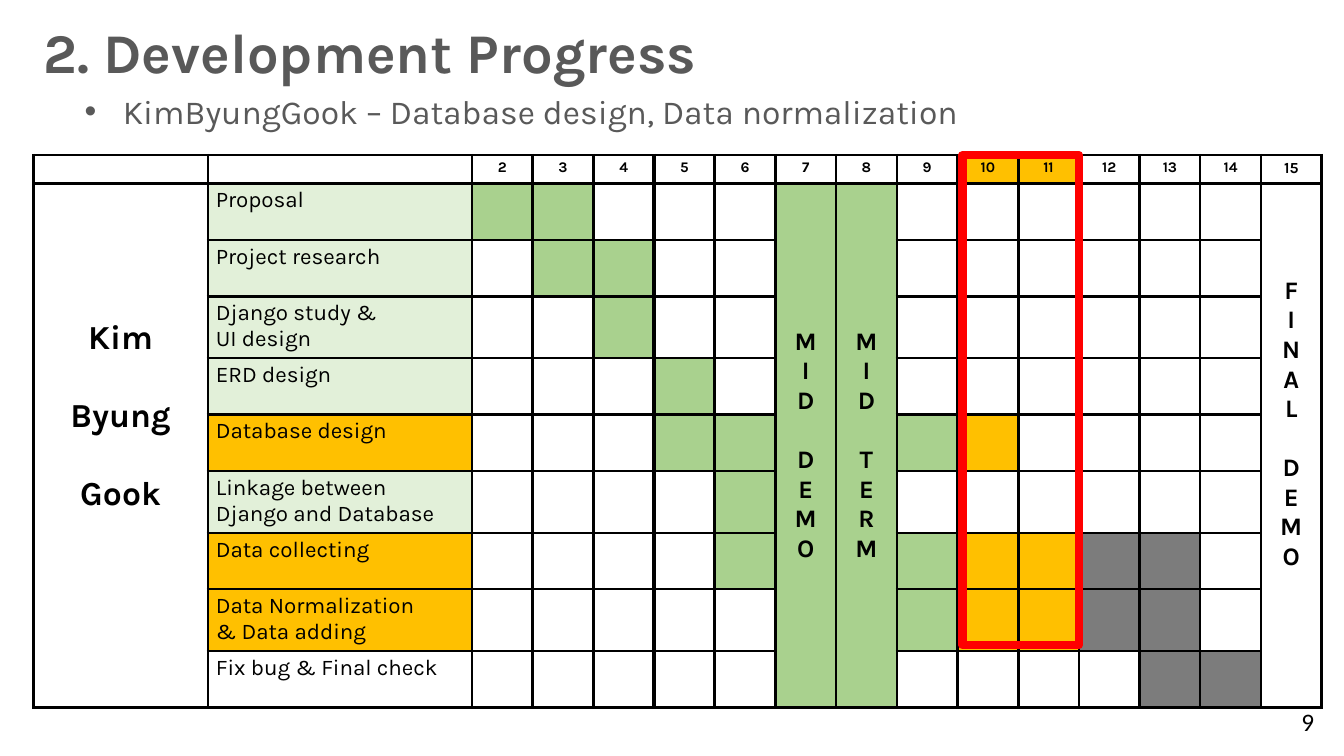
from dataclasses import dataclass
from itertools import accumulate

from lxml.etree import SubElement
from pptx import Presentation
from pptx.dml.color import RGBColor
from pptx.enum.shapes import MSO_SHAPE
from pptx.enum.text import MSO_ANCHOR, MSO_AUTO_SIZE, PP_ALIGN
from pptx.oxml.ns import qn
from pptx.util import Inches, Pt

COLORS = {
    "text": "595959", "black": "000000", "white": "FFFFFF", "finished": "E2F0D9",
    "done": "A9D18E", "now": "FFC000", "todo": "7C7C7C", "frame": "FF0000",
}
WIDTH, HEIGHT = 13.33, 7.5
FONT = "Karla"
THIN, THICK = 1.98, 2.55


@dataclass(frozen=True)
class Box:
    """Place and size in percent of the slide."""
    left: float
    top: float
    width: float
    height: float

    def emu(self) -> tuple:
        return (Inches(self.left * WIDTH / 100), Inches(self.top * HEIGHT / 100),
                Inches(self.width * WIDTH / 100), Inches(self.height * HEIGHT / 100))


@dataclass(frozen=True)
class Task:
    label: str
    lines: int = 1
    done: tuple = ()
    now: tuple = ()
    todo: tuple = ()

    def label_fill(self) -> str:
        return "now" if self.now else "finished" if self.done else "white"

    def week_fill(self, week: int) -> str:
        return next((k for k in ("done", "now", "todo") if week in getattr(self, k)), "white")


@dataclass(frozen=True)
class Milestone:
    week: int
    text: str
    fill: str
    top: float = 0.04
    anchor: MSO_ANCHOR = MSO_ANCHOR.MIDDLE


TASKS = [
    Task("Proposal", done=(2, 3)),
    Task("Project research", done=(3, 4)),
    Task("Django study &\nUI design", 2, done=(4,)),
    Task("ERD design", done=(5,)),
    Task("Database design", done=(5, 6, 9), now=(10,)),
    Task("Linkage between Django and Database", 2, done=(6,)),
    Task("Data collecting", done=(6, 9), now=(10, 11), todo=(12, 13)),
    Task("Data Normalization\n& Data adding", 2, done=(9,), now=(10, 11), todo=(12, 13)),
    Task("Fix bug & Final check", todo=(13, 14)),
]
MILESTONES = [
    Milestone(7, "MID DEMO", "done"),
    Milestone(8, "MID TERM", "done"),
    Milestone(15, "FINAL DEMO", "white", 0.92, MSO_ANCHOR.TOP),
]
WEEKS = range(2, 16)
FIRST_WEEK_COL = 2
CURRENT_WEEKS = (10, 11)
THICK_AFTER = (4, 10)

TABLE = Box(2.48, 20.53, 95.87, 73.2)
NAME_W, LABEL_W = 1.73, 2.62
WEEK_W = (TABLE.width * WIDTH / 100 - NAME_W - LABEL_W) / len(WEEKS)
COLS = [NAME_W, LABEL_W] + [WEEK_W] * len(WEEKS)
ROWS = [0.28] + [0.61 if t.lines == 2 else 0.56 for t in TASKS]


def rgb(name: str) -> RGBColor:
    return RGBColor.from_string(COLORS[name])


def write(tf, text: str, *, size: float, bold: bool = False, color: str = "black",
          font: str = FONT, align=PP_ALIGN.LEFT, gaps: dict | None = None) -> None:
    """Put one paragraph per line; gaps maps a line number to the points above it."""
    for i, line in enumerate(text.split("\n")):
        p = tf.add_paragraph() if i else tf.paragraphs[0]
        p.alignment = align
        p.space_before = Pt((gaps or {}).get(i, 0))
        r = p.add_run()
        r.text = line
        r.font.size, r.font.bold, r.font.name = Pt(size), bold, font
        r.font.color.rgb = rgb(color)


def add_text(s, box: Box, text: str, *, wrap: bool = True, **fmt):
    tf = s.shapes.add_textbox(*box.emu()).text_frame
    tf.word_wrap = wrap
    write(tf, text, **fmt)
    return tf


def add_title(s, box: Box, text: str) -> None:
    sp = s.shapes.title
    sp.left, sp.top, sp.width, sp.height = box.emu()
    tf = sp.text_frame
    tf.auto_size = MSO_AUTO_SIZE.NONE
    tf.vertical_anchor = MSO_ANCHOR.TOP
    write(tf, text, size=40, bold=True, color="text")


def add_bullet(p) -> None:
    pPr = p._p.get_or_add_pPr()
    pPr.set("marL", str(Inches(0.38)))
    pPr.set("indent", str(Inches(-0.38)))
    SubElement(pPr, qn("a:buFont")).set("typeface", "Arial")
    SubElement(pPr, qn("a:buChar")).set("char", "•")


def format_cell(cell, fill: str, left: float, right: float) -> None:
    """Set margins, borders and fill; left and right are border widths in points."""
    cell.margin_left = cell.margin_right = Inches(0.08)
    cell.margin_top = cell.margin_bottom = Inches(0.04)
    tcPr = cell._tc.get_or_add_tcPr()
    for side, width in (("L", left), ("R", right), ("T", THIN), ("B", THIN)):
        ln = SubElement(tcPr, qn(f"a:ln{side}"), w=str(Pt(width)))
        SubElement(SubElement(ln, qn("a:solidFill")), qn("a:srgbClr"), val=COLORS["black"])
    cell.fill.solid()
    cell.fill.fore_color.rgb = rgb(fill)
    cell.text_frame.paragraphs[0]._p.get_or_add_endParaRPr().set("sz", "1000")


def cell_fill(row: int, col: int) -> str:
    week = WEEKS[col - FIRST_WEEK_COL] if col >= FIRST_WEEK_COL else None
    if row == 0:
        return "now" if week in CURRENT_WEEKS else "white"
    if week is None:
        return TASKS[row - 1].label_fill() if col == 1 else "white"
    milestone = next((m for m in MILESTONES if m.week == week), None)
    return milestone.fill if milestone else TASKS[row - 1].week_fill(week)


def week_col(week: int) -> int:
    return FIRST_WEEK_COL + WEEKS.index(week)


def add_schedule(s) -> None:
    table = s.shapes.add_table(len(ROWS), len(COLS), *TABLE.emu()).table
    table.first_row = table.horz_banding = False
    for column, width in zip(table.columns, COLS):
        column.width = Inches(width)
    for row, height in zip(table.rows, ROWS):
        row.height = Inches(height)
    thick = [week_col(w) for w in THICK_AFTER]
    for r in range(len(ROWS)):
        for c in range(len(COLS)):
            format_cell(table.cell(r, c), cell_fill(r, c),
                        THICK if c - 1 in thick else THIN, THICK if c in thick else THIN)

    for week in WEEKS:
        write(table.cell(0, week_col(week)).text_frame, str(week),
              size=11 if week == WEEKS[-1] else 10.5, bold=True, align=PP_ALIGN.CENTER)
    for r, task in enumerate(TASKS, 1):
        write(table.cell(r, 1).text_frame, task.label, size=16)

    for c in [0] + [week_col(m.week) for m in MILESTONES]:
        table.cell(1, c).merge(table.cell(len(TASKS), c))
    name = table.cell(1, 0)
    name.margin_top = Inches(1.34)
    write(name.text_frame, "Kim\nByung\nGook", size=24, bold=True,
          align=PP_ALIGN.CENTER, gaps={1: 28, 2: 28})
    for m in MILESTONES:
        cell = table.cell(1, week_col(m.week))
        cell.margin_top = Inches(m.top)
        cell.vertical_anchor = m.anchor
        write(cell.text_frame, "\n".join(m.text.replace(" ", "")), size=18, bold=True,
              align=PP_ALIGN.CENTER, gaps={m.text.index(" "): 21})


def add_current_frame(s) -> None:
    """Outline the current weeks, from the header to the last row but one."""
    inset = 0.05
    edges = [0, *accumulate(COLS)]
    left, top = TABLE.emu()[:2]
    first, last = week_col(CURRENT_WEEKS[0]), week_col(CURRENT_WEEKS[-1])
    sp = s.shapes.add_shape(
        MSO_SHAPE.RECTANGLE, left + Inches(edges[first] + inset), top,
        Inches(edges[last + 1] - edges[first] - inset), Inches(sum(ROWS[:-1]) - inset))
    sp.shadow.inherit = False
    sp.fill.background()
    sp.line.color.rgb = rgb("frame")
    sp.line.width = Pt(6)


def main() -> None:
    prs = Presentation()
    prs.slide_width, prs.slide_height = Inches(WIDTH), Inches(HEIGHT)
    s = prs.slides.add_slide(prs.slide_layouts[5])
    add_title(s, Box(2.48, 1.6, 56.4, 10.27), "2. Development Progress")
    tf = add_text(s, Box(5.55, 11.33, 94.45, 6.67),
                  "KimByungGook – Database design, Data normalization", size=24, color="text")
    add_bullet(tf.paragraphs[0])
    add_schedule(s)
    add_text(s, Box(96.1, 92.8, 2.48, 5.33), "9", wrap=False, size=18, font="Calibri")
    add_current_frame(s)
    prs.save("out.pptx")


if __name__ == "__main__":
    main()
